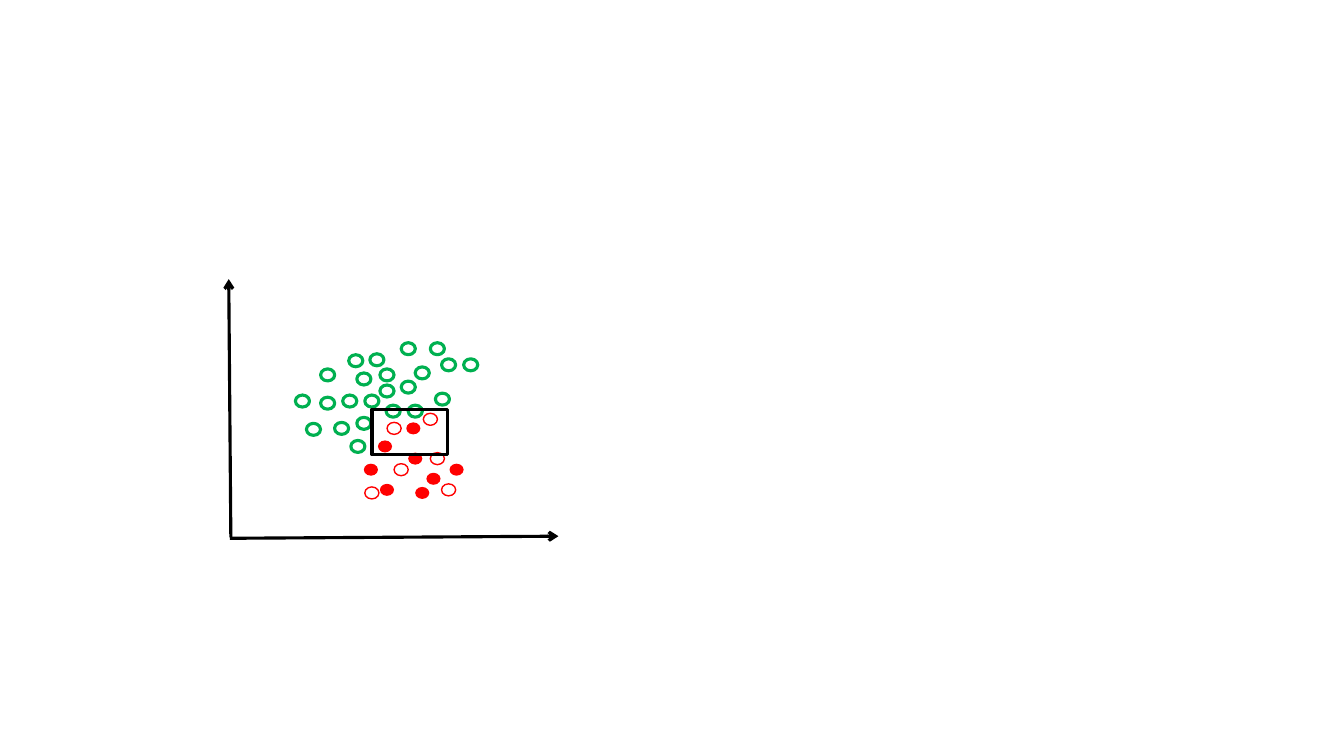
from dataclasses import dataclass

from lxml import etree
from pptx import Presentation
from pptx.dml.color import RGBColor
from pptx.enum.shapes import MSO_CONNECTOR, MSO_SHAPE
from pptx.oxml.ns import qn
from pptx.shapes.autoshape import Shape
from pptx.slide import Slide
from pptx.util import Pt

ELLIPSE = MSO_SHAPE.OVAL
RECTANGLE = MSO_SHAPE.RECTANGLE
STRAIGHT = MSO_CONNECTOR.STRAIGHT
BLANK_LAYOUT = 6

Point = tuple[float, float]


@dataclass(frozen=True)
class Theme:
    black: RGBColor = RGBColor(0x00, 0x00, 0x00)
    green: RGBColor = RGBColor(0x00, 0xB0, 0x50)
    red: RGBColor = RGBColor(0xFF, 0x00, 0x00)
    thick: float = 2.25
    thin: float = 1


THEME = Theme()


@dataclass(frozen=True)
class Style:
    line: RGBColor | None = None
    width: float = 0
    fill: RGBColor | None = None


@dataclass(frozen=True)
class Cluster:
    style: Style
    corners: list[Point]


@dataclass(frozen=True)
class Axis:
    start: Point
    end: Point


MARKER_WIDTH, MARKER_HEIGHT = 10.1, 8.6

AXES = [
    Axis((164.9, 383.8), (163.4, 199.4)),
    Axis((164.2, 384.5), (398.9, 383)),
]

# Left and top of every marker, by class
CLUSTERS = [
    Cluster(Style(line=THEME.green, width=THEME.thick), [
        (264.2, 252.7), (271.4, 263.5), (229, 263.5), (254.9, 266.4),
        (307.4, 244.8), (286.6, 272.2), (286.6, 244.8), (296.6, 262.1),
        (271.4, 275), (260.6, 282.2), (275.8, 289.4), (291.6, 289.4),
        (244.8, 282.2), (315.4, 256.3), (229, 283.7), (254.9, 298.1),
        (250.6, 314.6), (211, 282.2), (239, 301.7), (331.2, 256.3),
        (218.9, 302.4), (249.1, 253.4), (311, 280.8),
    ]),
    Cluster(Style(line=THEME.red, width=THEME.thin), [
        (307.4, 323.3), (260.6, 347.8), (276.5, 301.7),
        (281.5, 331.2), (302.4, 295.2), (315.4, 345.6),
    ]),
    Cluster(Style(fill=THEME.red), [
        (291.6, 323.3), (259.9, 331.2), (271.4, 345.6), (290.2, 301.7),
        (321.1, 331.2), (304.6, 337.7), (270, 314.6), (296.6, 347.8),
    ]),
]


def add_outline(slide: Slide, kind: MSO_SHAPE, corner: Point,
                width: float, height: float, style: Style) -> Shape:
    left, top = corner
    shape = slide.shapes.add_shape(kind, Pt(left), Pt(top), Pt(width), Pt(height))
    shape.shadow.inherit = False
    if style.fill is None:
        shape.fill.background()
    else:
        shape.fill.solid()
        shape.fill.fore_color.rgb = style.fill
    if style.line is None:
        shape.line.fill.background()
    else:
        shape.line.color.rgb = style.line
        shape.line.width = Pt(style.width)
    return shape


def add_axis(slide: Slide, axis: Axis) -> None:
    connector = slide.shapes.add_connector(
        STRAIGHT, *(Pt(value) for value in axis.start + axis.end))
    connector.line.color.rgb = THEME.black
    connector.line.width = Pt(THEME.thick)
    line = connector.line._get_or_add_ln()
    etree.SubElement(line, qn("a:tailEnd"), type="arrow")
    etree.SubElement(connector._element.spPr, qn("a:effectLst"))


def main() -> None:
    presentation = Presentation()
    presentation.slide_width, presentation.slide_height = Pt(960), Pt(540)
    slide = presentation.slides.add_slide(presentation.slide_layouts[BLANK_LAYOUT])

    # Axes
    for axis in AXES:
        add_axis(slide, axis)

    # Scattered markers
    for cluster in CLUSTERS:
        for corner in cluster.corners:
            add_outline(slide, ELLIPSE, corner, MARKER_WIDTH, MARKER_HEIGHT,
                        cluster.style)

    # Frame around the overlap of the classes
    add_outline(slide, RECTANGLE, (265.7, 292.3), 54, 32.4,
                Style(line=THEME.black, width=THEME.thick))

    presentation.save("out.pptx")


if __name__ == "__main__":
    main()
